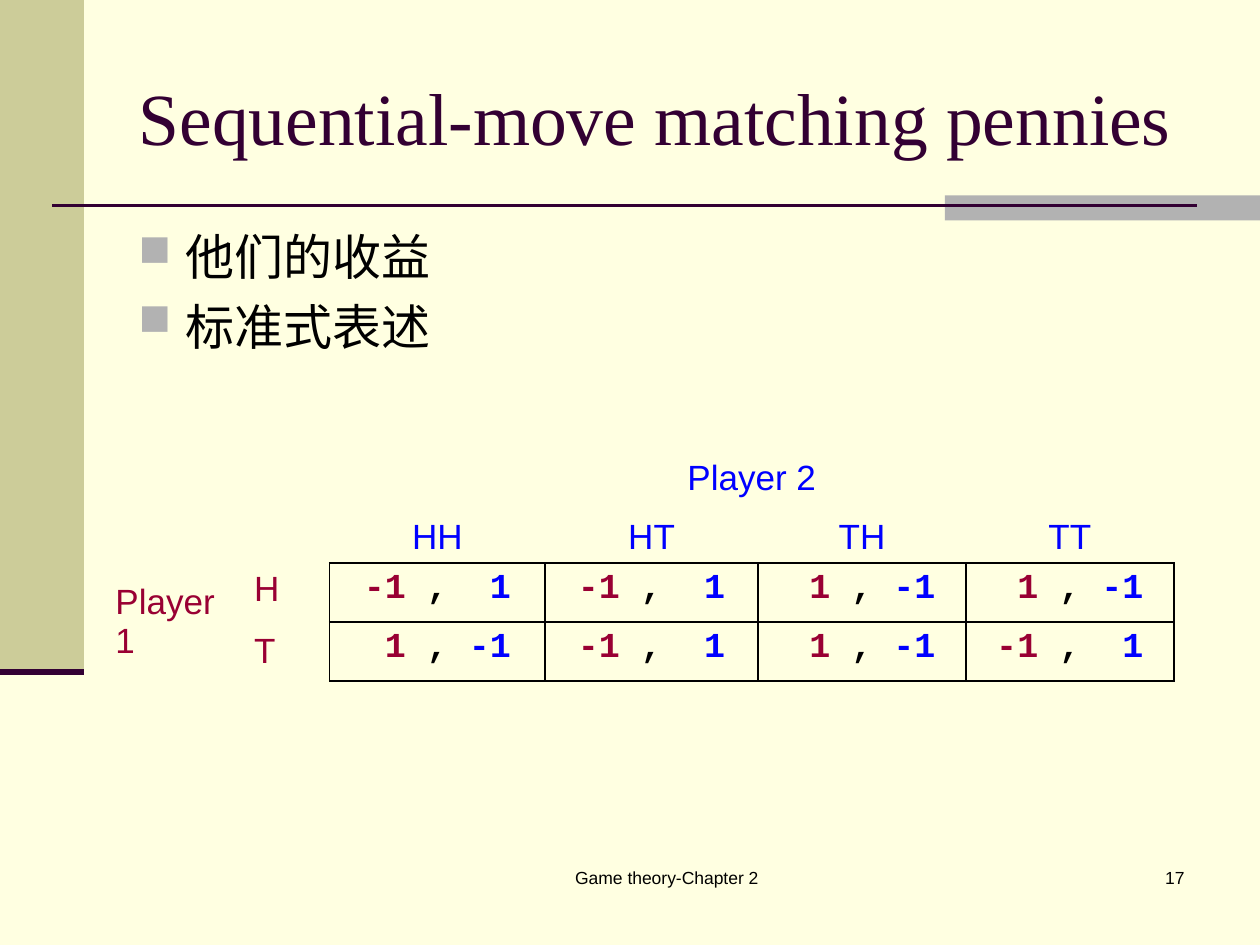
from dataclasses import dataclass
from typing import NamedTuple

from lxml.etree import SubElement
from pptx import Presentation
from pptx.dml.color import RGBColor as Color
from pptx.enum.shapes import MSO_CONNECTOR as Connector, MSO_SHAPE as Preset
from pptx.enum.text import MSO_ANCHOR as Anchor, MSO_AUTO_SIZE as AutoSize, PP_ALIGN as Align
from pptx.oxml.ns import qn
from pptx.util import Pt


@dataclass(frozen=True)
class Theme:
    background: str = "FFFFE1"
    olive: str = "CCCC99"
    gray: str = "B2B2B2"
    plum: str = "330033"
    black: str = "000000"
    player_1: str = "990033"
    player_2: str = "0000FF"
    serif: str = "Times New Roman"
    sans: str = "Arial"
    mono: str = "Courier New"
    title_size: float = 42
    body_size: float = 28
    table_size: float = 20
    footer_size: float = 10


THEME = Theme()


class Box(NamedTuple):
    left: float
    top: float
    width: float
    height: float

    def lengths(self) -> list:
        return [Pt(value) for value in self]


class Rule(NamedTuple):
    left: float
    right: float
    y: float
    weight: float


class Footer(NamedTuple):
    text: str
    box: Box
    align: Align


BANDS = [(Box(0, 0, 48, 384), THEME.olive), (Box(540, 111.6, 180, 14.4), THEME.gray)]
RULES = [Rule(30, 684, 117.6, 1.5), Rule(0, 48, 384, 3.5)]
FOOTERS = [
    Footer("Game theory-Chapter 2", Box(264, 492, 234, 36), Align.CENTER),
    Footer("17", Box(534, 492, 150, 36), Align.RIGHT),
]
TITLE_BOX = Box(72, 21.6, 612, 90)
BODY_BOX = Box(72, 126, 612, 106.5)
BULLETS = ["他们的收益", "标准式表述"]

# Game matrix: strategies of both players and their payoffs
TABLE_BOX = Box(58.8, 254.4, 611.5, 134.8)
COLUMN_WIDTHS = [79.2, 50.4, 123.1, 121.7, 118.8, 118.8]
ROW_HEIGHT = 33.7
FIRST_ROW, FIRST_COLUMN = 2, 2
REPLIES = ["HH", "HT", "TH", "TT"]
MOVES = [("H", Anchor.TOP), ("T", Anchor.MIDDLE)]
PAYOFFS = [
    [(-1, 1), (-1, 1), (1, -1), (1, -1)],
    [(1, -1), (-1, 1), (1, -1), (-1, 1)],
]
CELL_INSET = 7.2
CHARACTER_WIDTH = 12  # one monospaced character at the table size
PAYOFF_CHARACTERS, COMMA_END = 7, 4


def style(paragraph, size: float, color: str, name: str = THEME.sans,
          align: Align = Align.LEFT, bold: bool = False) -> None:
    paragraph.alignment = align
    font = paragraph.font
    font.size, font.name, font.bold = Pt(size), name, bold
    font.color.rgb = Color.from_string(color)


def add_band(slide, box: Box, color: str) -> None:
    shape = slide.shapes.add_shape(Preset.RECTANGLE, *box.lengths())
    shape.shadow.inherit = False
    shape.fill.solid()
    shape.fill.fore_color.rgb = Color.from_string(color)
    shape.line.fill.background()


def add_rule(slide, rule: Rule) -> None:
    line = slide.shapes.add_connector(
        Connector.STRAIGHT, Pt(rule.left), Pt(rule.y), Pt(rule.right), Pt(rule.y))
    line.line.color.rgb = Color.from_string(THEME.plum)
    line.line.width = Pt(rule.weight)
    SubElement(line._element.spPr, qn("a:effectLst"))


def add_text_frame(slide, box: Box):
    frame = slide.shapes.add_textbox(*box.lengths()).text_frame
    frame.word_wrap = True
    return frame


def add_footer(slide, footer: Footer) -> None:
    paragraph = add_text_frame(slide, footer.box).paragraphs[0]
    paragraph.text = footer.text
    style(paragraph, THEME.footer_size, THEME.black, align=footer.align)


def set_title(slide, text: str) -> None:
    title = slide.shapes.title
    title.left, title.top, title.width, title.height = TITLE_BOX.lengths()
    frame = title.text_frame
    frame.text = text
    frame.word_wrap, frame.auto_size = True, AutoSize.NONE
    frame.vertical_anchor = Anchor.MIDDLE
    style(frame.paragraphs[0], THEME.title_size, THEME.plum, THEME.serif)


def add_bullets(slide, lines: list[str]) -> None:
    frame = add_text_frame(slide, BODY_BOX)
    for index, line in enumerate(lines):
        paragraph = frame.add_paragraph() if index else frame.paragraphs[0]
        paragraph.text = line
        properties = paragraph._p.get_or_add_pPr()
        properties.set("marL", str(Pt(27)))
        properties.set("indent", str(-Pt(27)))
        bullet_color = SubElement(properties, qn("a:buClr"))
        SubElement(bullet_color, qn("a:srgbClr"), val=THEME.gray)
        SubElement(properties, qn("a:buSzPct"), val="90000")
        SubElement(properties, qn("a:buChar"), char="■")
        if index:
            paragraph.space_before = Pt(6)
        style(paragraph, THEME.body_size, THEME.black)


def format_cell(cell, edges: str) -> None:
    """Draw the named edges (of L, R, T, B) and clear the others and the fill."""
    properties = cell._tc.get_or_add_tcPr()
    for edge in "LRTB":
        line = SubElement(properties, qn(f"a:ln{edge}"), w=str(Pt(1)))
        if edge in edges:
            fill = SubElement(line, qn("a:solidFill"))
            SubElement(fill, qn("a:srgbClr"), val=THEME.black)
        else:
            SubElement(line, qn("a:noFill"))
    cell.fill.background()


def label_cell(cell, text: str, color: str, anchor: Anchor, align: Align = Align.LEFT) -> None:
    cell.vertical_anchor = anchor
    paragraph = cell.text_frame.paragraphs[0]
    paragraph.text = text
    style(paragraph, THEME.table_size, color, align=align)


def write_payoff(cell, payoff: tuple[int, int], width: float) -> None:
    """Line both payoffs up on right tab stops around the middle of the cell."""
    paragraph = cell.text_frame.paragraphs[0]
    start = (width - PAYOFF_CHARACTERS * CHARACTER_WIDTH) / 2 - CELL_INSET
    tabs = SubElement(paragraph._p.get_or_add_pPr(), qn("a:tabLst"))
    for end in (COMMA_END, PAYOFF_CHARACTERS):
        SubElement(tabs, qn("a:tab"), pos=str(Pt(start + end * CHARACTER_WIDTH)), algn="r")
    style(paragraph, THEME.table_size, THEME.black, THEME.mono, bold=True)
    first, second = payoff
    for text, color in ((f"\t{first}", THEME.player_1), (" ,", THEME.black),
                        (f"\t{second}", THEME.player_2)):
        run = paragraph.add_run()
        run.text = text
        run.font.color.rgb = Color.from_string(color)


def add_game_table(slide) -> None:
    row_count = FIRST_ROW + len(MOVES)
    table = slide.shapes.add_table(
        row_count, len(COLUMN_WIDTHS), *TABLE_BOX.lengths()).table
    table.first_row = table.horz_banding = False
    for column, width in zip(table.columns, COLUMN_WIDTHS):
        column.width = Pt(width)
    for row in table.rows:
        row.height = Pt(ROW_HEIGHT)

    # Borders frame the payoffs only
    for row in range(row_count):
        for column in range(len(COLUMN_WIDTHS)):
            if row >= FIRST_ROW:
                edges = "LRTB" if column >= FIRST_COLUMN else "R" * (column == 1)
            else:
                edges = "B" if row == 1 and column >= FIRST_COLUMN else ""
            format_cell(table.cell(row, column), edges)

    # Player names
    table.cell(0, FIRST_COLUMN).merge(table.cell(0, len(COLUMN_WIDTHS) - 1))
    table.cell(FIRST_ROW, 0).merge(table.cell(row_count - 1, 0))
    label_cell(table.cell(0, FIRST_COLUMN), "Player 2", THEME.player_2, Anchor.BOTTOM, Align.CENTER)
    label_cell(table.cell(FIRST_ROW, 0), "Player 1", THEME.player_1, Anchor.MIDDLE)

    # Strategies and payoffs
    for column, reply in enumerate(REPLIES, FIRST_COLUMN):
        label_cell(table.cell(1, column), reply, THEME.player_2, Anchor.BOTTOM, Align.CENTER)
    for row, ((move, anchor), payoffs) in enumerate(zip(MOVES, PAYOFFS), FIRST_ROW):
        label_cell(table.cell(row, 1), move, THEME.player_1, anchor)
        for column, payoff in enumerate(payoffs, FIRST_COLUMN):
            write_payoff(table.cell(row, column), payoff, COLUMN_WIDTHS[column])


def main() -> None:
    presentation = Presentation()
    presentation.slide_width, presentation.slide_height = Pt(720), Pt(540)
    slide = presentation.slides.add_slide(presentation.slide_layouts[5])
    slide.background.fill.solid()
    slide.background.fill.fore_color.rgb = Color.from_string(THEME.background)
    for box, color in BANDS:
        add_band(slide, box, color)
    for rule in RULES:
        add_rule(slide, rule)
    for footer in FOOTERS:
        add_footer(slide, footer)
    set_title(slide, "Sequential-move matching pennies")
    add_bullets(slide, BULLETS)
    add_game_table(slide)
    presentation.save("out.pptx")


if __name__ == "__main__":
    main()
